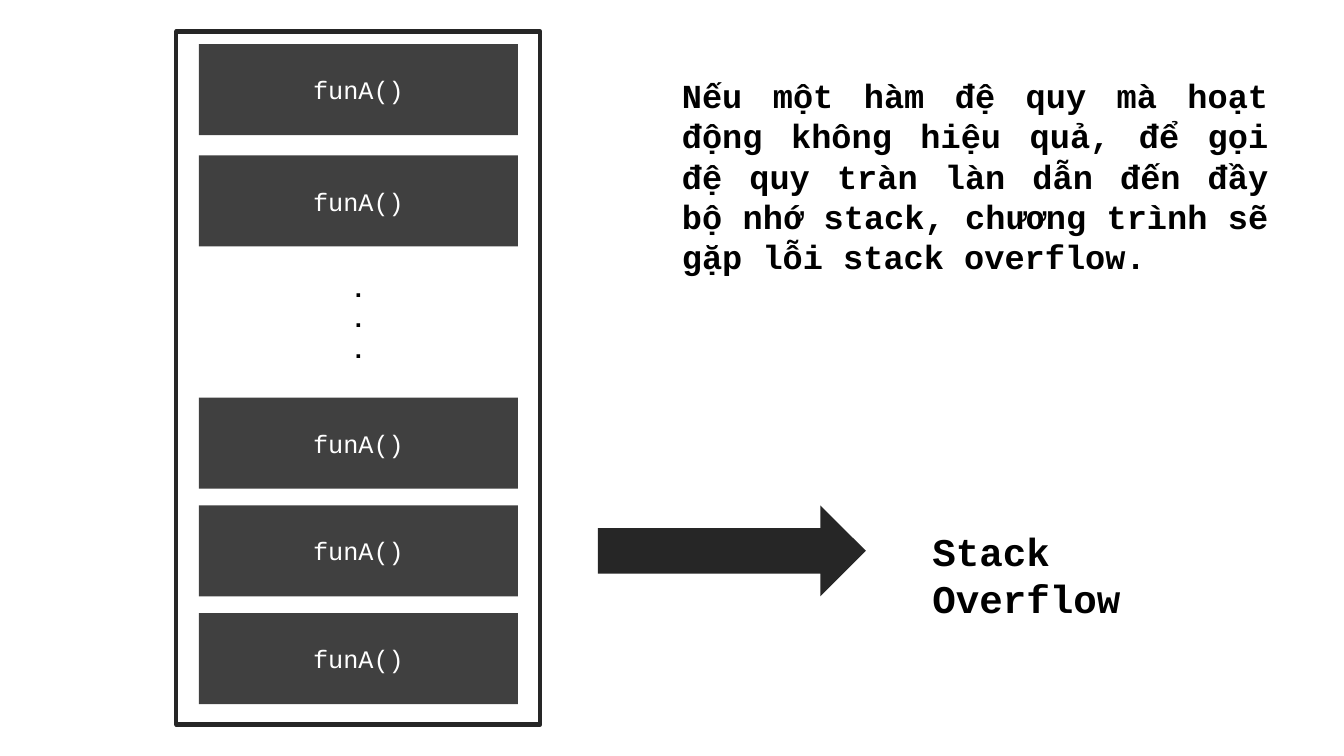
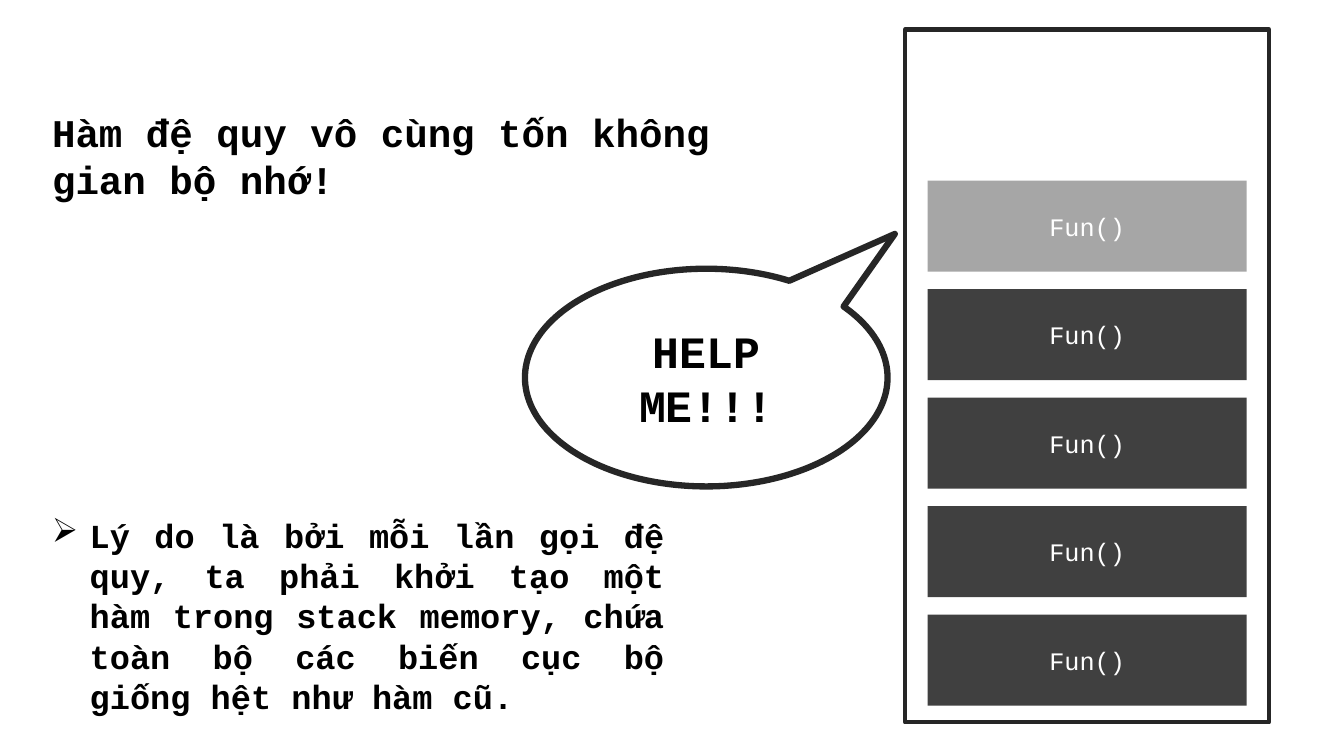
from lxml import etree
from pptx import Presentation
from pptx import util as u
from pptx.dml import color
from pptx.enum import shapes, text
from pptx.oxml import ns

FONT = "Courier New"
BLACK, WHITE = "000000", "FFFFFF"
OUTLINE, BLOCK, FADED = "262626", "404040", "A6A6A6"
BLOCK_SIZE = (228, 65)
FRAME_SIZE = (260, 495)
FRAME_PADDING = 16
SHAPE = shapes.MSO_SHAPE
LEFT, CENTER, JUSTIFY = text.PP_ALIGN.LEFT, text.PP_ALIGN.CENTER, text.PP_ALIGN.JUSTIFY
TOP, MIDDLE = text.MSO_ANCHOR.TOP, text.MSO_ANCHOR.MIDDLE


def paint(color_format, value):
    """Set a fill, line or font colour from a hex string."""
    color_format.rgb = color.RGBColor.from_string(value)


def write(shape, content, size, align=LEFT, anchor=TOP, ink=BLACK, bold=True):
    """Put formatted text into a shape."""
    frame = shape.text_frame
    frame.text = content
    frame.word_wrap = True
    frame.auto_size = text.MSO_AUTO_SIZE.NONE
    frame.vertical_anchor = anchor
    for paragraph in frame.paragraphs:
        paragraph.alignment = align
        for run in paragraph.runs:
            run.font.name = FONT
            run.font.size = u.Pt(size)
            run.font.bold = bold
            paint(run.font.color, ink)


def add_text(slide, box, content, size, align=LEFT):
    """Add a bold text box."""
    shape = slide.shapes.add_textbox(*map(u.Pt, box))
    write(shape, content, size, align)
    return shape


def add_figure(slide, kind, box, fill=None, line_width=0):
    """Add a flat preset shape, filled or outlined."""
    shape = slide.shapes.add_shape(kind, *map(u.Pt, box))
    shape.shadow.inherit = False
    if fill:
        shape.fill.solid()
        paint(shape.fill.fore_color, fill)
    else:
        shape.fill.background()
    if line_width:
        shape.line.width = u.Pt(line_width)
        paint(shape.line.color, OUTLINE)
    else:
        shape.line.fill.background()
    return shape


def add_stack(slide, left, top, label, blocks):
    """Draw the memory frame and its call blocks, given as top and fill."""
    add_figure(slide, SHAPE.RECTANGLE, (left, top, *FRAME_SIZE), line_width=3)
    for block_top, fill in blocks:
        box = (left + FRAME_PADDING, block_top, *BLOCK_SIZE)
        block = add_figure(slide, SHAPE.RECTANGLE, box, fill)
        write(block, label, 18, CENTER, MIDDLE, WHITE, bold=False)


def add_bullet(paragraph, symbol, indent):
    """Give a paragraph a hanging bullet."""
    properties = paragraph._p.get_or_add_pPr()
    properties.set("marL", str(u.Pt(indent)))
    properties.set("indent", str(-u.Pt(indent)))
    etree.SubElement(properties, ns.qn("a:buChar")).set("char", symbol)


def add_title(slide, box, content):
    """Place and format the title placeholder."""
    title = slide.shapes.title
    title.left, title.top, title.width, title.height = map(u.Pt, box)
    write(title, content, 28)


def build_overflow(presentation):
    """Build the slide on stack overflow."""
    slide = presentation.slides.add_slide(presentation.slide_layouts[6])
    tops = [31.5, 111] + [284 + 77 * row for row in range(3)]
    add_stack(slide, 126, 22.5, "funA()", [(top, BLOCK) for top in tops])
    add_text(slide, (243, 191, 26, 73), ".\n.\n.", 18, CENTER)
    add_figure(slide, SHAPE.RIGHT_ARROW, (427, 361, 191.5, 65), OUTLINE)
    add_text(slide, (659, 373, 232, 75), "Stack Overflow", 28)
    add_text(slide, (480, 50, 433, 153),
             "Nếu một hàm đệ quy mà hoạt động không hiệu quả, để gọi đệ quy tràn làn "
             "dẫn đến đầy bộ nhớ stack, chương trình sẽ gặp lỗi stack overflow.",
             24, JUSTIFY)


def build_memory(presentation):
    """Build the slide on the memory cost of recursion."""
    slide = presentation.slides.add_slide(presentation.slide_layouts[5])
    add_title(slide, (30, 74, 536, 109), "Hàm đệ quy vô cùng tốn không gian bộ nhớ!")
    fills = [FADED] + [BLOCK] * 4
    blocks = [(129 + 77.5 * row, fill) for row, fill in enumerate(fills)]
    add_stack(slide, 646.5, 21, "Fun()", blocks)
    callout = add_figure(slide, SHAPE.OVAL_CALLOUT, (375, 192, 259, 155.5), line_width=4.5)
    callout.adjustments[0], callout.adjustments[1] = 0.52, -0.66
    write(callout, "HELP ME!!!", 32, CENTER, MIDDLE)
    reason = add_text(slide, (30, 364, 451.5, 153),
                      "Lý do là bởi mỗi lần gọi đệ quy, ta phải khởi tạo một hàm trong "
                      "stack memory, chứa toàn bộ các biến cục bộ giống hệt như hàm cũ.",
                      24, JUSTIFY)
    add_bullet(reason.text_frame.paragraphs[0], "➢", 27)


def main():
    """Build and save the presentation."""
    presentation = Presentation()
    presentation.slide_width, presentation.slide_height = u.Pt(960), u.Pt(540)
    build_overflow(presentation)
    build_memory(presentation)
    presentation.save("out.pptx")


if __name__ == "__main__":
    main()
